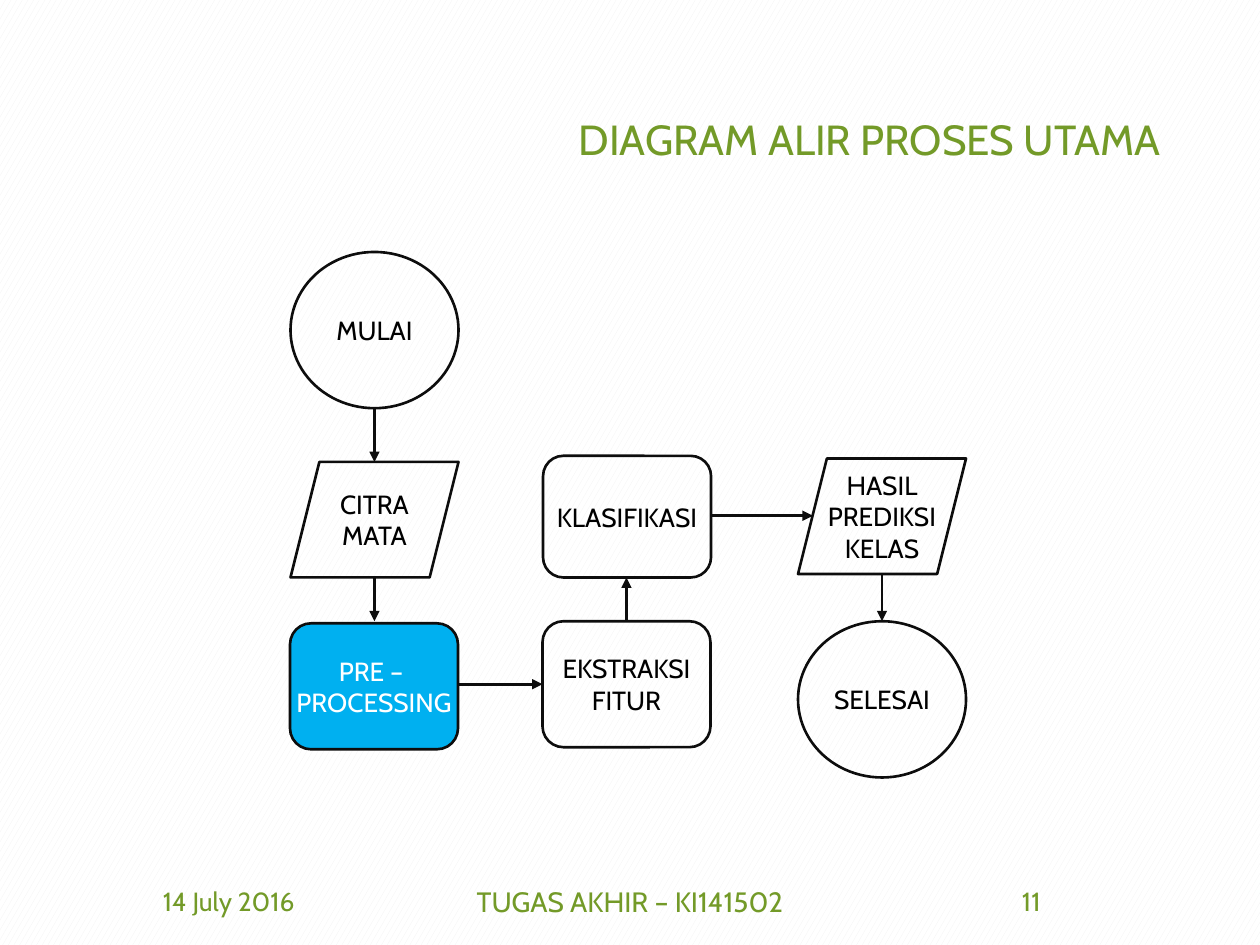
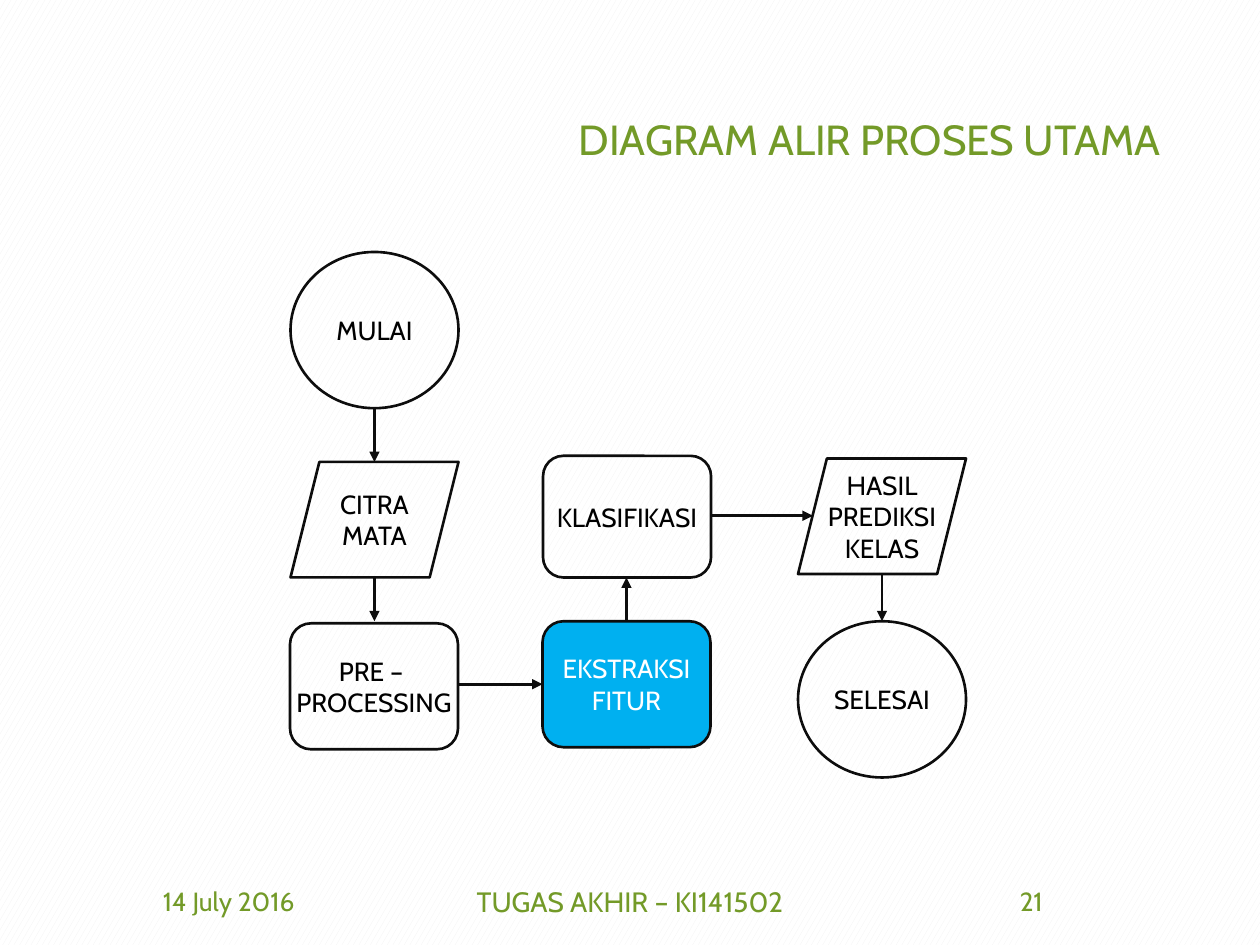
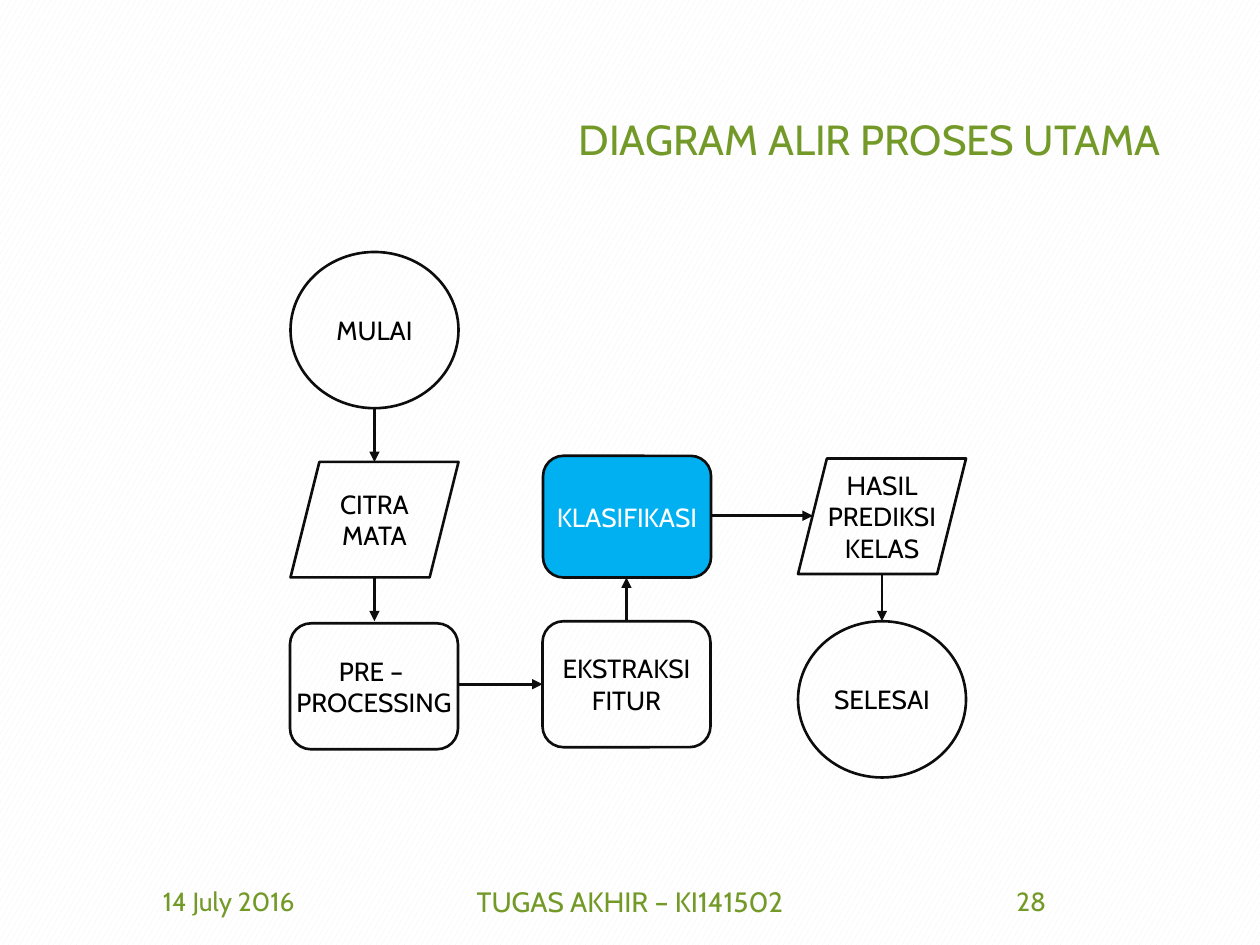
from lxml import etree
from pptx import Presentation
from pptx.dml.color import RGBColor
from pptx.enum import dml, shapes, text
from pptx.oxml import ns
from pptx.util import Pt

FONT = "Cabin"
GREEN, BLUE, INK = "739A28", "00B0F0", "0D0D0D"
BLACK, WHITE, PALE = "000000", "FFFFFF", "F2F2F2"
TITLE = "DIAGRAM ALIR PROSES UTAMA"


def color(code):
    return RGBColor.from_string(code)


def write(box, lines, size, code, align=text.PP_ALIGN.CENTER):
    frame = box.text_frame
    frame.text = "\n".join(lines)
    frame.vertical_anchor = text.MSO_ANCHOR.MIDDLE
    for para in frame.paragraphs:
        para.alignment = align
        para.font.name = FONT
        para.font.size = Pt(size)
        para.font.color.rgb = color(code)


# Slide number and the step highlighted on that slide
pages = [("11", "PRE – "), ("21", "EKSTRAKSI"), ("28", "KLASIFIKASI")]

# Flowchart steps: kind, left, top, height, lines
STEP_WIDTH = 96
CIRCLE = shapes.MSO_SHAPE.OVAL
DATA = shapes.MSO_SHAPE.PARALLELOGRAM
PROCESS = shapes.MSO_SHAPE.ROUNDED_RECTANGLE
steps = [
    (CIRCLE, 166, 144, 89.3, ["MULAI"]),
    (DATA, 166, 264, 66, ["CITRA", "MATA"]),
    (PROCESS, 310, 355, 72, ["EKSTRAKSI", "FITUR"]),
    (DATA, 456, 262, 66, ["HASIL", "PREDIKSI", "KELAS"]),
    (CIRCLE, 456, 355, 89.3, ["SELESAI"]),
    (PROCESS, 310.3, 260.5, 69.5, ["KLASIFIKASI"]),
    (PROCESS, 165.7, 356.2, 72, ["PRE – ", "PROCESSING"]),
]

# Arrows: start x, start y, end x, end y
arrows = [
    (214, 233.3, 214, 264),
    (214, 330, 214, 355),
    (262, 391, 310, 391),
    (358, 355, 358, 330),
    (504, 328, 504, 355),
    (406, 294.7, 464.5, 294.7),
]

deck = Presentation()
deck.slide_width, deck.slide_height = Pt(720), Pt(540)

# Shared background
backdrop = deck.slide_master.background.fill
backdrop.patterned()
backdrop.pattern = dml.MSO_PATTERN.LARGE_CONFETTI
backdrop.fore_color.rgb = color(PALE)
backdrop.back_color.rgb = color(WHITE)

for number, active in pages:
    page = deck.slides.add_slide(deck.slide_layouts[5])

    # Title
    title = page.shapes.title
    title.left, title.top, title.width, title.height = Pt(49.7), Pt(28.8), Pt(620.6), Pt(104.4)
    write(title, [TITLE], 24, GREEN, text.PP_ALIGN.RIGHT)
    title.text_frame.paragraphs[0].line_spacing = 0.9

    # Footer
    for left, width, size, words in [
        (49.7, 162, 15, "14 July 2016"),
        (238.3, 243.4, 16, "TUGAS AKHIR – KI141502"),
        (508.3, 162, 15, number),
    ]:
        footer = page.shapes.add_textbox(Pt(left), Pt(500.4), Pt(width), Pt(28.8))
        footer.text_frame.word_wrap = True
        write(footer, [words], size, GREEN)

    # Arrows
    for ends in arrows:
        arrow = page.shapes.add_connector(shapes.MSO_CONNECTOR.STRAIGHT, *map(Pt, ends))
        arrow.line.color.rgb = color(INK)
        arrow.line.width = Pt(1.5)
        etree.SubElement(arrow.line._get_or_add_ln(), ns.qn("a:tailEnd"), type="triangle")
        etree.SubElement(arrow._element.spPr, ns.qn("a:effectLst"))

    # Steps
    for kind, left, top, height, lines in steps:
        step = page.shapes.add_shape(kind, Pt(left), Pt(top), Pt(STEP_WIDTH), Pt(height))
        step.shadow.inherit = False
        step.line.color.rgb = color(INK)
        step.line.width = Pt(1.5)
        step.text_frame.word_wrap = False
        if lines[0] == active:
            step.fill.solid()
            step.fill.fore_color.rgb = color(BLUE)
            write(step, lines, 15, WHITE)
        else:
            step.fill.background()
            write(step, lines, 15, BLACK)

deck.save("out.pptx")
